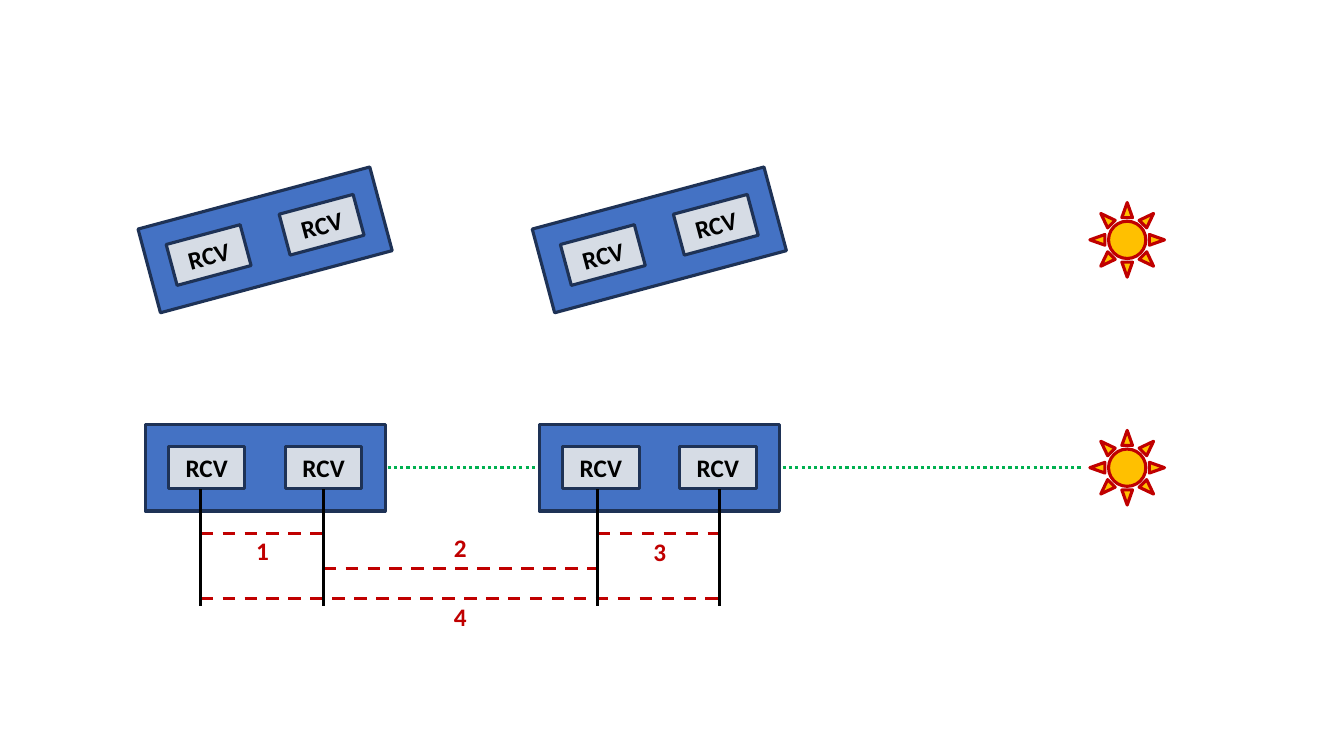
import math
from typing import NamedTuple

from lxml import etree
from pptx import Presentation
from pptx import util as u
from pptx.dml.color import RGBColor
from pptx.enum import dml, shapes, text
from pptx.oxml import ns

PX = 9144  # EMU per px, 100 px to the inch
COLORS = {
    "module": "4472C4", "receiver": "D6DCE5", "outline": "1E3256",
    "sun": "FFC000", "red": "C00000", "sight": "00B050", "black": "000000",
}
LINE_WIDTH = u.Pt(2.25)
MODULE_SIZE = (238, 86)
RECEIVER_SIZE = (76, 42)
RECEIVER_OFFSET = 58  # from the centre of the module
SUN_SIZE = (74, 74)
LABEL_SIZE = (63, 40)
TILTED_Y, LEVEL_Y = 238, 464
WIRE_TOP, WIRE_BOTTOM = 485, 601


class Module(NamedTuple):
    x: int
    y: int
    tilt: int  # degrees, clockwise


class Baseline(NamedTuple):
    number: str
    start: int
    end: int
    y: int
    label_x: int
    label_y: int


MODULES = [Module(x, y, tilt)
           for y, tilt in ((LEVEL_Y, 0), (TILTED_Y, -15))
           for x in (263, 654)]
WIRES = [199, 321, 593, 714]
BASELINES = [
    Baseline("1", WIRES[0], WIRES[1], 529, 229, 526),
    Baseline("3", WIRES[2], WIRES[3], 529, 623, 527),
    Baseline("2", WIRES[1], WIRES[2], 564, 425, 523),
    Baseline("4", WIRES[0], WIRES[3], 594, 425, 592),
]

deck = Presentation()
deck.slide_width, deck.slide_height = 1333 * PX, 750 * PX
page = deck.slides.add_slide(deck.slide_layouts[6])


def rgb(name: str) -> RGBColor:
    return RGBColor.from_string(COLORS[name])


def add_line(start: tuple[int, int], end: tuple[int, int], color: str,
             dash: dml.MSO_LINE = dml.MSO_LINE.SOLID) -> None:
    line = page.shapes.add_connector(
        shapes.MSO_CONNECTOR.STRAIGHT, *(PX * value for value in start + end))
    line.line.color.rgb = rgb(color)
    line.line.width = LINE_WIDTH
    line.line.dash_style = dash
    etree.SubElement(line._element.spPr, ns.qn("a:effectLst"))


def write(box, words: str, color: str) -> None:
    box.text_frame.word_wrap = True
    para = box.text_frame.paragraphs[0]
    para.text = words
    para.alignment = text.PP_ALIGN.CENTER
    font = para.runs[0].font
    font.name, font.size, font.bold = "Calibri", u.Pt(18), True
    font.color.rgb = rgb(color)


def add_centred(kind: shapes.MSO_SHAPE, x: float, y: float, size: tuple[int, int],
                fill: str, outline: str, tilt: int = 0):
    width, height = size
    shape = page.shapes.add_shape(
        kind, round((x - width / 2) * PX), round((y - height / 2) * PX),
        width * PX, height * PX)
    shape.rotation = tilt
    shape.shadow.inherit = False
    shape.fill.solid()
    shape.fill.fore_color.rgb = rgb(fill)
    shape.line.color.rgb = rgb(outline)
    shape.line.width = LINE_WIDTH
    return shape


def add_module(module: Module) -> None:
    rectangle = shapes.MSO_SHAPE.RECTANGLE
    add_centred(rectangle, module.x, module.y, MODULE_SIZE, "module", "outline", module.tilt)
    angle = math.radians(module.tilt)
    for offset in (-RECEIVER_OFFSET, RECEIVER_OFFSET):
        receiver = add_centred(
            rectangle, module.x + offset * math.cos(angle),
            module.y + offset * math.sin(angle), RECEIVER_SIZE,
            "receiver", "outline", module.tilt)
        receiver.text_frame.vertical_anchor = text.MSO_ANCHOR.MIDDLE
        write(receiver, "RCV", "black")


def add_label(baseline: Baseline) -> None:
    label = page.shapes.add_textbox(
        *(PX * value for value in (baseline.label_x, baseline.label_y, *LABEL_SIZE)))
    label.text_frame.auto_size = text.MSO_AUTO_SIZE.SHAPE_TO_FIT_TEXT
    write(label, baseline.number, "red")


# Line of sight, behind the modules
add_line((260, LEVEL_Y), (1072, LEVEL_Y), "sight", dml.MSO_LINE.ROUND_DOT)

# Modules with their receivers
for module in MODULES:
    add_module(module)

# Numbered baselines between the receivers
for baseline in BASELINES:
    add_line((baseline.start, baseline.y), (baseline.end, baseline.y),
             "red", dml.MSO_LINE.DASH)
    add_label(baseline)

# Wires below the receivers
for wire in WIRES:
    add_line((wire, WIRE_BOTTOM), (wire, WIRE_TOP), "black")

# Light sources
for sun_y in (LEVEL_Y, TILTED_Y):
    add_centred(shapes.MSO_SHAPE.SUN, 1118, sun_y, SUN_SIZE, "sun", "red")

deck.save("out.pptx")
